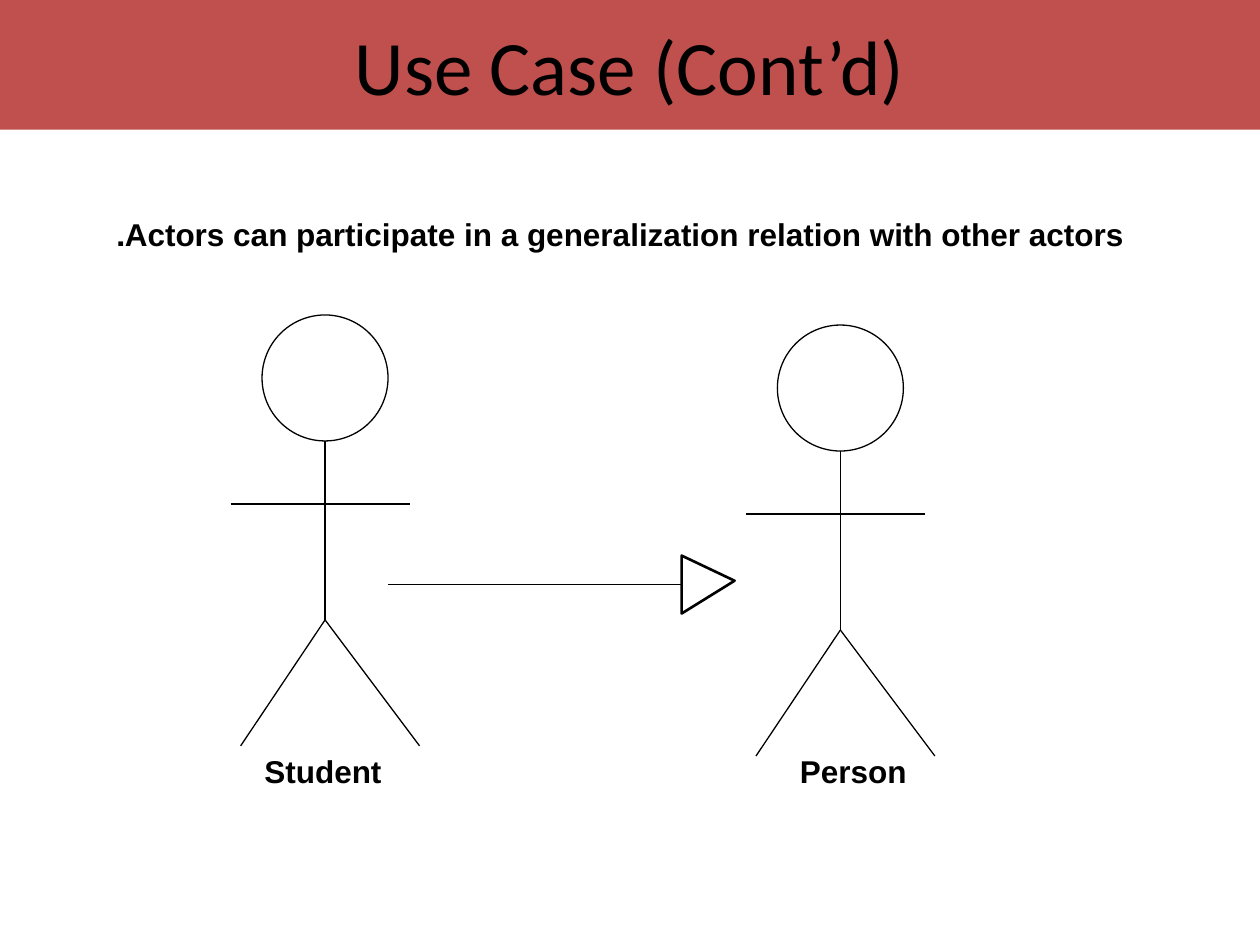
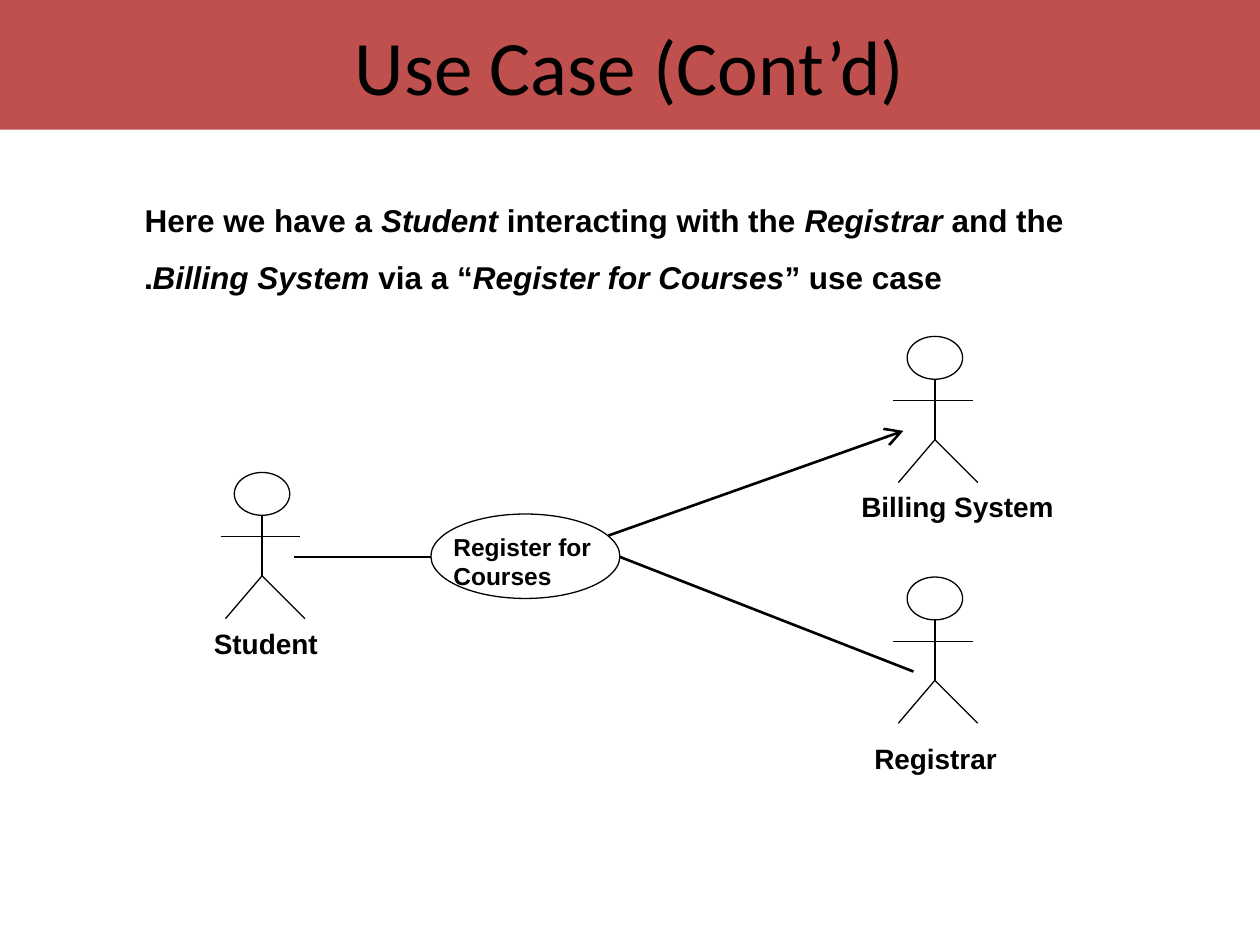
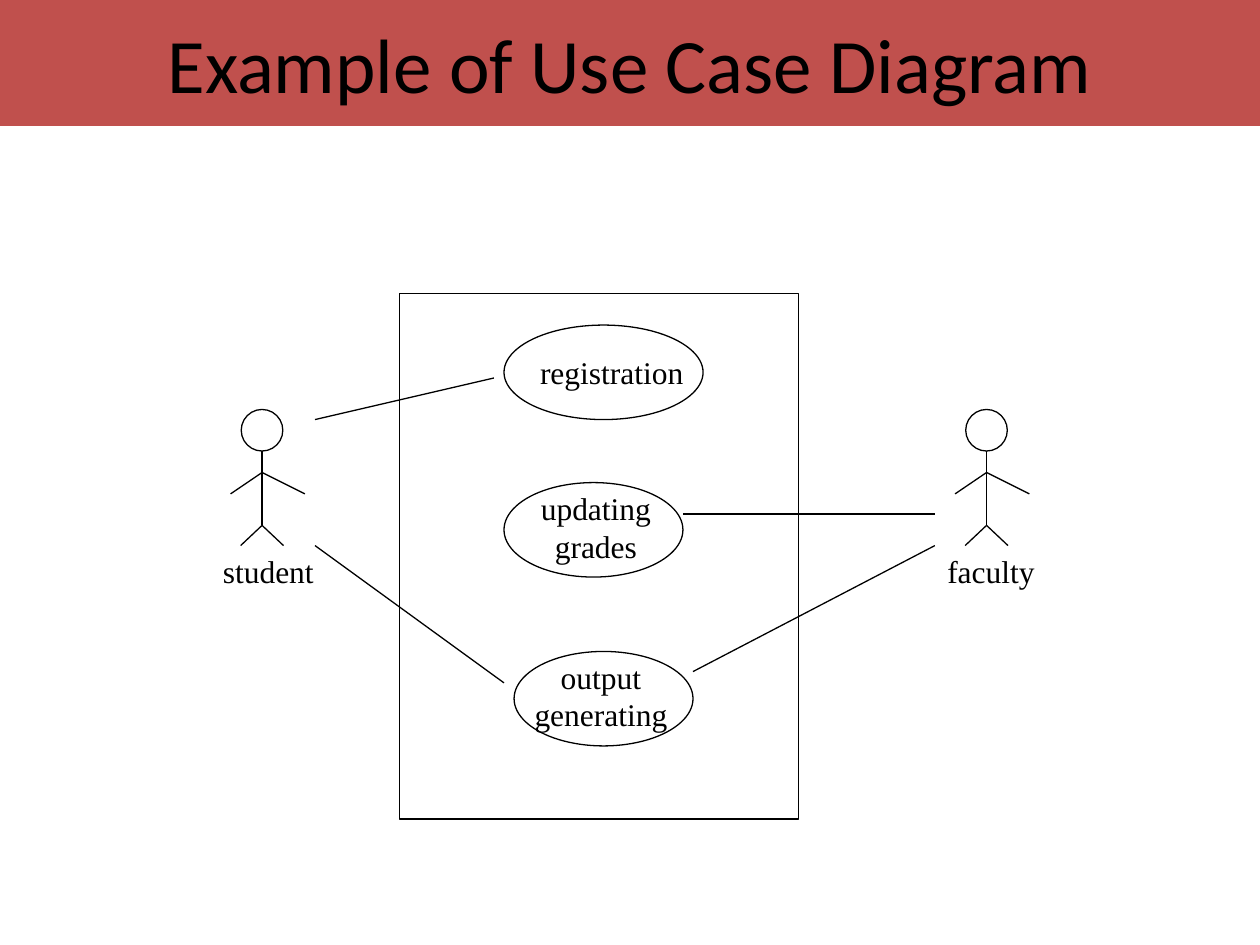
from dataclasses import dataclass

import lxml.etree
import pptx
import pptx.dml.color
import pptx.enum.shapes
import pptx.enum.text
import pptx.oxml.ns
import pptx.util

Inches, Pt = pptx.util.Inches, pptx.util.Pt
Preset = pptx.enum.shapes.MSO_SHAPE
Align = pptx.enum.text.PP_ALIGN
Anchor = pptx.enum.text.MSO_ANCHOR


@dataclass(frozen=True)
class Theme:
    ink: str = "000000"
    paper: str = "FFFFFF"
    band: str = "C0504D"
    title_font: str = "Calibri"
    label_font: str = "Arial"
    diagram_font: str = "Times New Roman"
    title_size: float = 44
    body_size: float = 18
    caption_size: float = 16
    case_size: float = 14
    thin: float = 0.75
    thick: float = 1.5


@dataclass(frozen=True)
class Figure:
    """Stick figure measures; pairs are offsets left and right of the spine."""
    head: tuple
    body: float
    shoulder: float
    arms: tuple
    arm_drop: float
    legs: tuple
    leg_drop: float


THEME = Theme()
LARGE = Figure((1, 1), 1.42, 0.5, (-0.75, 0.67), 0, (-0.67, 0.75), 1)
MEDIUM = Figure((0.44, 0.34), 0.48, 0.17, (-0.33, 0.3), 0, (-0.29, 0.34), 0.34)
SMALL = Figure((0.33, 0.33), 0.59, 0.17, (-0.25, 0.34), 0.17, (-0.17, 0.17), 0.16)

# Actors: name, spine x, head top, caption box
GENERALIZATION = {
    "title": "Use Case (Cont’d)",
    "statement": [["Actors can participate in a generalization relation with other actors."]],
    "actors": [("Student", 2.58, 2.5, (2, 5.92, 1.42, 0.4)),
               ("Person", 6.67, 2.58, (6.25, 5.92, 1.17, 0.4))],
    "relation": ((3.08, 4.64), (5.42, 4.64)),
    "triangle": [(5.83, 4.61), (5.41, 4.41), (5.41, 4.87)],
}
# Spans alternate between upright and italic
REGISTRATION = {
    "title": "Use Case (Cont’d)",
    "statement": [
        ["Here we have a ", "Student", " interacting with the ", "Registrar", " and the"],
        ["", "Billing System", " via a “", "Register for Courses", "” use case."],
    ],
    "actors": [("Student", 2.08, 3.75, (1.56, 4.92, 1.1, 0.37)),
               ("Billing System", 7.42, 2.67, (6.7, 3.83, 1.8, 0.37)),
               ("Registrar", 7.42, 4.58, (6.82, 5.83, 1.21, 0.37))],
    "case": ("Register for Courses", (3.42, 4.08, 1.5, 0.67), (3.5, 4.17, 1.5, 0.57)),
    "links": [((2.33, 4.42), (3.42, 4.42), False),
              ((4.83, 4.25), (7.17, 3.42), True),
              ((4.92, 4.42), (7.25, 5.33), False)],
}
EXAMPLE = {
    "title": "Example of Use Case Diagram",
    "actors": [("student", 2.08, 3.25, (1.67, 4.33, 1.08, 0.4)),
               ("faculty", 7.83, 3.25, (7.42, 4.33, 1, 0.4))],
    "system": (3.17, 2.33, 3.17, 4.17),
    "cases": [(["registration"], (4, 2.58, 1.58, 0.75), (4.13, 2.75, 1.45, 0.4)),
              (["updating", "grades"], (4, 3.83, 1.42, 0.75), (4.08, 3.83, 1.3, 0.7)),
              (["output", "generating"], (4.08, 5.17, 1.42, 0.75), (4.12, 5.17, 1.3, 0.7))],
    "links": [((2.5, 3.33), (3.92, 3)), ((2.5, 4.33), (4, 5.42)),
              ((7.42, 4.08), (5.42, 4.08)), ((7.42, 4.33), (5.5, 5.33))],
}


def color(value):
    return pptx.dml.color.RGBColor.from_string(value)


def inches(values):
    return [Inches(value) for value in values]


def paint(shape, fill=None, line=THEME.ink, width=THEME.thin):
    shape.shadow.inherit = False
    if fill:
        shape.fill.solid()
        shape.fill.fore_color.rgb = color(fill)
    else:
        shape.fill.background()
    if line:
        shape.line.color.rgb = color(line)
        shape.line.width = Pt(width)
    else:
        shape.line.fill.background()


def add_preset(page, preset, place, **look):
    shape = page.shapes.add_shape(preset, *inches(place))
    paint(shape, **look)
    return shape


def add_line(page, start, end, width=THEME.thin, arrow=False):
    line = page.shapes.add_connector(
        pptx.enum.shapes.MSO_CONNECTOR.STRAIGHT, *inches(start + end))
    line.line.color.rgb = color(THEME.ink)
    line.line.width = Pt(width)
    qualified = pptx.oxml.ns.qn
    properties = line._element.spPr
    if arrow:
        lxml.etree.SubElement(properties.get_or_add_ln(), qualified("a:tailEnd"),
                              type="arrow", w="lg", len="lg")
    lxml.etree.SubElement(properties, qualified("a:effectLst"))


def write(frame, paragraphs, size, font, align=Align.LEFT, bold=False, rtl=False, gap=0):
    """Fill a frame; each paragraph is a list of spans, every second one italic."""
    for number, spans in enumerate(paragraphs):
        para = frame.add_paragraph() if number else frame.paragraphs[0]
        para.alignment = align
        if rtl:
            para._p.get_or_add_pPr().set("rtl", "1")
        if number and gap:
            para.space_before = Pt(gap)
        para.font.size, para.font.name, para.font.bold = Pt(size), font, bold
        para.font.color.rgb = color(THEME.ink)
        for position, text in enumerate(spans):
            if text:
                span = para.add_run()
                span.text = text
                if position % 2:
                    span.font.italic = True


def add_text(page, place, paragraphs, size, font, anchor=Anchor.TOP, wrap=True, **style):
    frame = page.shapes.add_textbox(*inches(place)).text_frame
    frame.word_wrap = wrap
    frame.vertical_anchor = anchor
    write(frame, paragraphs, size, font, **style)


def add_label(page, place, paragraphs, size, **style):
    """Bold right-to-left text, used on the first two pages."""
    add_text(page, place, paragraphs, size, THEME.label_font, bold=True, rtl=True, **style)


def add_actor(page, figure, x, top):
    width, height = figure.head
    neck = top + height
    hip, shoulder = neck + figure.body, neck + figure.shoulder
    hand, foot = shoulder + figure.arm_drop, hip + figure.leg_drop
    add_preset(page, Preset.OVAL, (x - width / 2, top, width, height))
    add_line(page, (x, neck), (x, hip))
    for leg in figure.legs:
        add_line(page, (x, hip), (x + leg, foot))
    left, right = figure.arms
    if figure.arm_drop:
        for arm in figure.arms:
            add_line(page, (x, shoulder), (x + arm, hand))
    else:
        add_line(page, (x + left, shoulder), (x + right, shoulder))


def add_page(deck, title, band_height):
    page = deck.slides.add_slide(deck.slide_layouts[6])
    band = add_preset(page, Preset.RECTANGLE, (0, 0, 10, band_height), fill=THEME.band, line=None)
    band.text_frame.word_wrap = True
    band.text_frame.vertical_anchor = Anchor.MIDDLE
    write(band.text_frame, [[title]], THEME.title_size, THEME.title_font, Align.CENTER)
    return page


def build_generalization(deck):
    content = GENERALIZATION
    page = add_page(deck, content["title"], 1.03)
    add_label(page, (0.83, 1.66, 8.33, 0.4), content["statement"], THEME.body_size,
              anchor=Anchor.MIDDLE)
    for name, x, top, place in content["actors"]:
        add_actor(page, LARGE, x, top)
        add_label(page, place, [[name]], THEME.body_size)
    add_line(page, *content["relation"])
    first, *others = [inches(point) for point in content["triangle"]]
    outline = page.shapes.build_freeform(*first)
    outline.add_line_segments(others, close=True)
    paint(outline.convert_to_shape(), fill=THEME.paper, width=THEME.thick)


def build_registration(deck):
    content = REGISTRATION
    page = add_page(deck, content["title"], 1.03)
    add_label(page, (1.05, 1.54, 7.56, 0.86), content["statement"], THEME.body_size,
              anchor=Anchor.MIDDLE, wrap=False, gap=11.2)
    for name, x, top, place in content["actors"]:
        add_actor(page, MEDIUM, x, top)
        add_label(page, place, [[name]], THEME.caption_size,
                  anchor=Anchor.MIDDLE, wrap=False, align=Align.CENTER)
    name, oval, place = content["case"]
    add_preset(page, Preset.OVAL, oval, fill=THEME.paper)
    for start, end, arrow in content["links"]:
        add_line(page, start, end, THEME.thick, arrow)
    add_label(page, place, [[name]], THEME.case_size)


def build_example(deck):
    content = EXAMPLE
    page = add_page(deck, content["title"], 1)
    add_preset(page, Preset.RECTANGLE, content["system"])
    for name, x, top, place in content["actors"]:
        add_actor(page, SMALL, x, top)
        add_text(page, place, [[name]], THEME.body_size, THEME.diagram_font)
    for lines, oval, place in content["cases"]:
        add_preset(page, Preset.OVAL, oval)
        add_text(page, place, [[line] for line in lines], THEME.body_size,
                 THEME.diagram_font, align=Align.CENTER)
    for start, end in content["links"]:
        add_line(page, start, end)


def main():
    deck = pptx.Presentation()
    deck.slide_width, deck.slide_height = inches((10, 7.5))
    build_generalization(deck)
    build_registration(deck)
    build_example(deck)
    deck.save("out.pptx")


if __name__ == "__main__":
    main()
